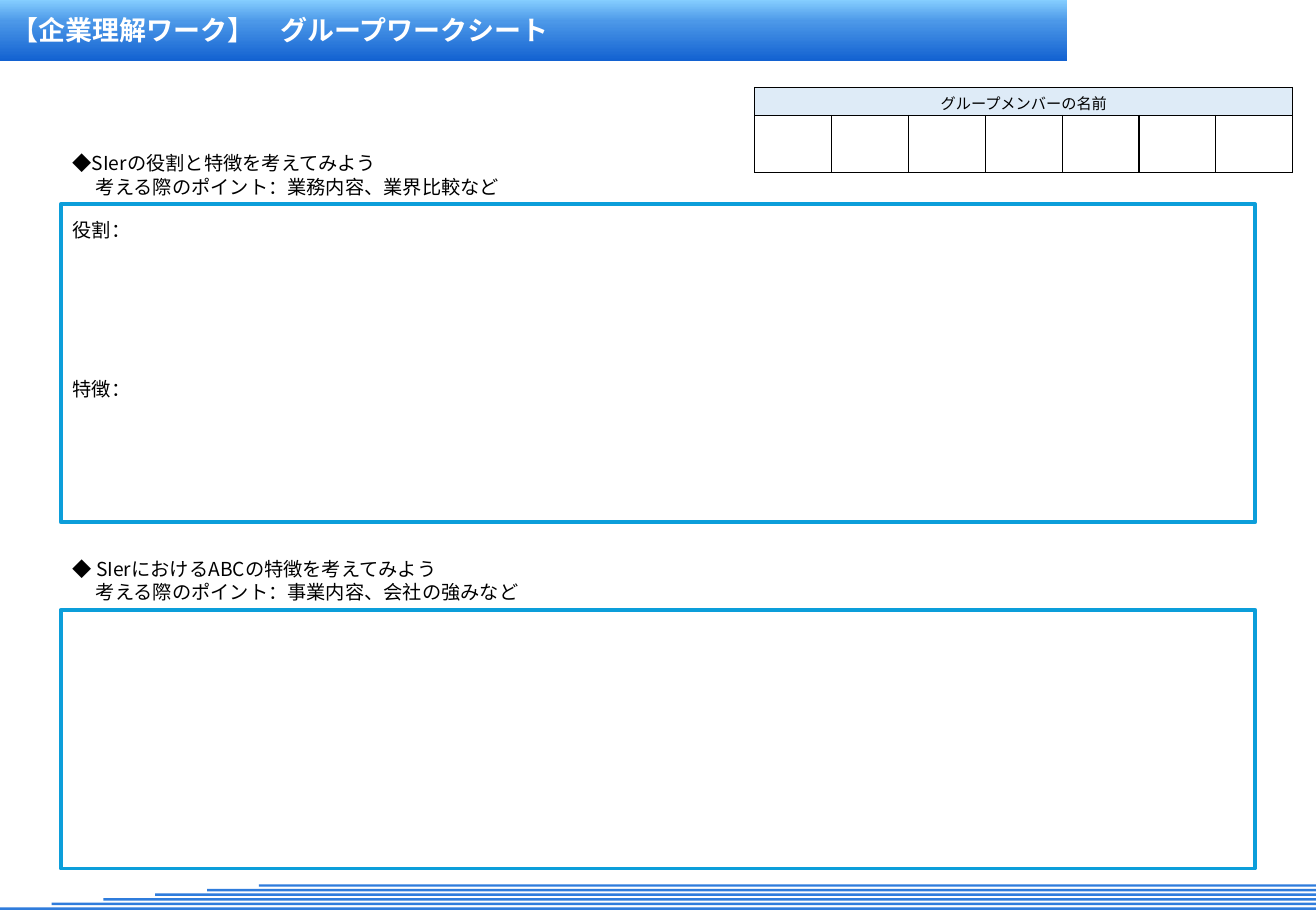
import copy
import pptx
import pptx.util
import pptx.dml.color
import pptx.enum.shapes
import pptx.enum.text
import pptx.oxml
import pptx.oxml.ns
from lxml import etree

Inches = pptx.util.Inches
Pt = pptx.util.Pt
qn = pptx.oxml.ns.qn
FONT = "Noto Sans CJK JP"
WIDE, HIGH = 10.83, 7.5


def color(code):
    return pptx.dml.color.RGBColor.from_string(code)


def style(para, size, code="000000", bold=False):
    for run in para.runs:
        font = run.font
        font.name, font.size, font.bold = FONT, Pt(size), bold
        font.color.rgb = color(code)
        etree.SubElement(run._r.get_or_add_rPr(), qn("a:ea")).set("typeface", FONT)


def add_text(slide, box, lines, size, code="000000", bold=False, indent=0):
    """Add a text box whose lines after the first are indented."""
    frame = slide.shapes.add_textbox(*map(Inches, box)).text_frame
    frame.word_wrap = True
    frame.text = "\n".join(lines)
    for spot, para in enumerate(frame.paragraphs):
        style(para, size, code, bold)
        if spot and indent:
            para._p.get_or_add_pPr().set("marL", str(Inches(indent)))


def add_rect(slide, box, fill=None, line=None):
    rect = slide.shapes.add_shape(
        pptx.enum.shapes.MSO_SHAPE.RECTANGLE, *map(Inches, box))
    rect.shadow.inherit = False
    if fill:
        rect.fill.solid()
        rect.fill.fore_color.rgb = color(fill)
    else:
        rect.fill.background()
    if line:
        rect.line.color.rgb = color(line)
        rect.line.width = Pt(2.25)
    else:
        rect.line.fill.background()
    return rect


def add_header(slide, box, title):
    left, top, width, height = box
    fill = add_rect(slide, box).fill
    fill.gradient()
    fill.gradient_angle = 270
    stops = slide.shapes[-1]._element.spPr.find(".//" + qn("a:gsLst"))
    stops.insert(1, copy.deepcopy(stops[0]))
    shades = [(0, "85CEFF"), (0.35, "4C98E8"), (1, "1362D1")]
    for stop, (place, code) in zip(fill.gradient_stops, shades):
        stop.position = place
        stop.color.rgb = color(code)
    add_text(slide, (left, top + 0.06, 6.07, 0.37), [title], 16, "FFFFFF", True)


def add_footer(slide, box, count=6):
    """Stack thin bars that start further left towards the bottom."""
    left, top, width, height = box
    for step in range(count):
        shift = 2.13 * (count - 1 - step) / (count - 1)
        add_rect(slide, (left + shift, top + height * step / (count - 1),
                         width - shift, 0.02), "2F7CDC")


def add_border(cell):
    props = cell._tc.get_or_add_tcPr()
    for spot, side in enumerate(("lnL", "lnR", "lnT", "lnB")):
        line = etree.Element(qn("a:" + side), w=str(Pt(0.75)))
        fill = etree.SubElement(line, qn("a:solidFill"))
        etree.SubElement(fill, qn("a:srgbClr"), val="000000")
        props.insert(spot, line)


def add_names(slide, box, title, count=7):
    left, top, width, height = box
    table = slide.shapes.add_table(2, count, *map(Inches, box)).table
    for col in table.columns:
        col.width = Inches(width / count)
    table.rows[0].height = Inches(0.23)
    table.rows[1].height = Inches(height - 0.23)
    for spot, cell in enumerate(table.iter_cells()):
        cell.fill.solid()
        cell.fill.fore_color.rgb = color("DEEBF7" if spot < count else "FFFFFF")
        cell.margin_left = cell.margin_right = Inches(0.07)
        cell.margin_top = cell.margin_bottom = Inches(0.04)
        add_border(cell)
    head = table.cell(0, 0)
    head.merge(table.cell(0, count - 1))
    head.text = title
    head.vertical_anchor = pptx.enum.text.MSO_ANCHOR.MIDDLE
    para = head.text_frame.paragraphs[0]
    para.alignment = pptx.enum.text.PP_ALIGN.CENTER
    style(para, 9)


def add_task(slide, box, lines, labels=()):
    """Add a framed answer area with its question above and labels inside."""
    left, top, width, height = box
    add_text(slide, (left, top - 0.48, width, 0.49), lines, 11.4, indent=0.19)
    add_rect(slide, box, line="0C9EDA")
    for step, label in enumerate(labels):
        place = top + 0.07 + step * height / len(labels)
        add_text(slide, (left, place, width, 0.29), [label], 11.4)


def main():
    deck = pptx.Presentation()
    deck.slide_width, deck.slide_height = Inches(WIDE), Inches(HIGH)
    slide = deck.slides.add_slide(deck.slide_layouts[6])
    add_header(slide, (0, 0, 8.78, 0.5), "【企業理解ワーク】　グループワークシート")
    add_footer(slide, (0, 7.28, WIDE, 0.19))
    add_names(slide, (6.21, 0.72, 4.43, 0.7), "グループメンバーの名前")
    add_task(slide, (0.5, 1.68, 9.83, 2.62),
             ["◆SIerの役割と特徴を考えてみよう",
              "考える際のポイント：業務内容、業界比較など"],
             ["役割：", "特徴："])
    add_task(slide, (0.5, 5.02, 9.83, 2.13),
             ["◆ SIerにおけるABCの特徴を考えてみよう",
              "考える際のポイント：事業内容、会社の強みなど"])
    deck.save("out.pptx")


if __name__ == "__main__":
    main()
